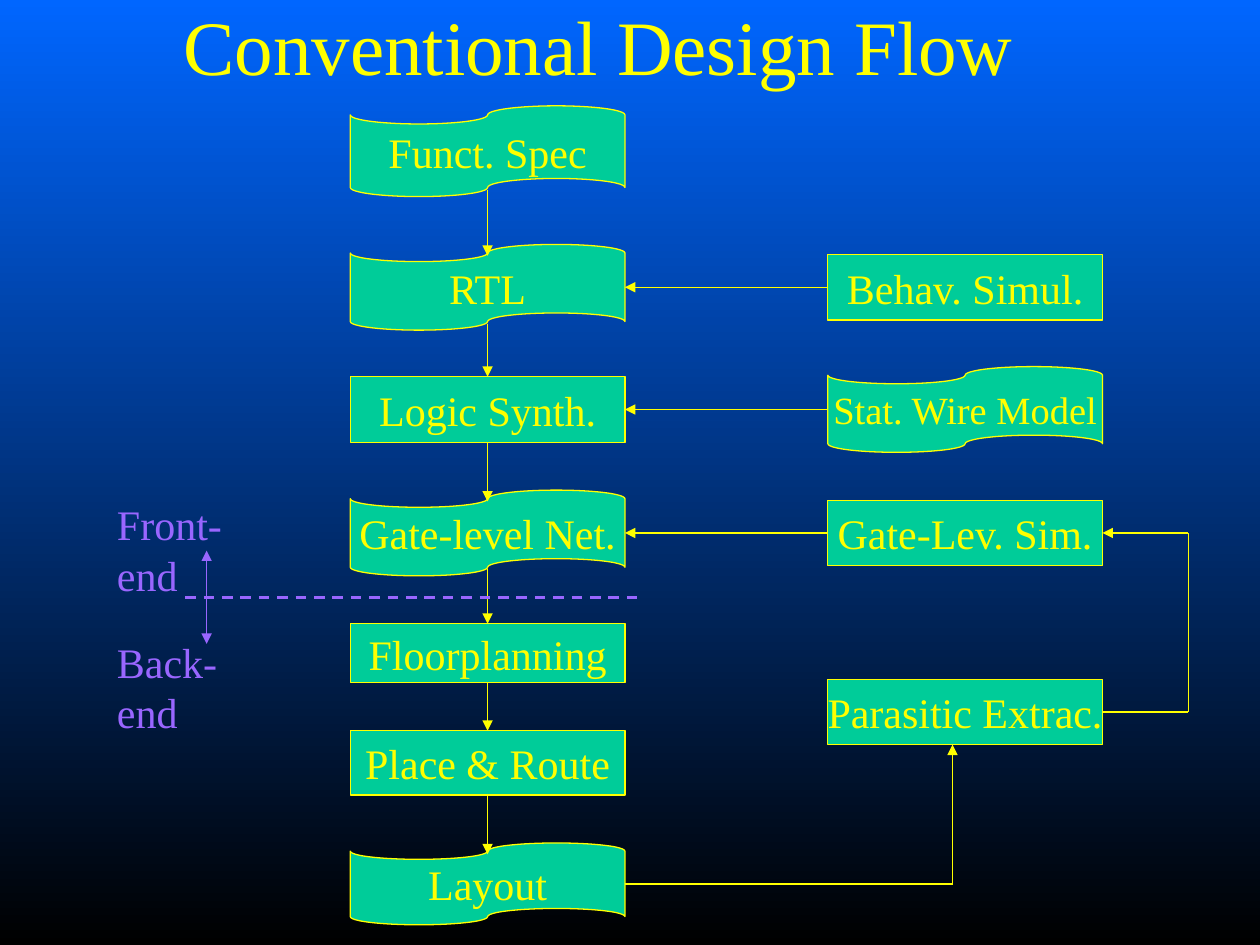
from dataclasses import dataclass
from itertools import pairwise

from lxml.etree import SubElement
from pptx import Presentation
from pptx.dml.color import RGBColor
from pptx.enum.dml import MSO_LINE
from pptx.enum.shapes import MSO_CONNECTOR, MSO_SHAPE
from pptx.enum.text import MSO_ANCHOR, MSO_AUTO_SIZE, PP_ALIGN
from pptx.oxml.ns import qn
from pptx.util import Inches, Pt

COLUMNS, ROWS = 100, 75  # square cells of a tenth of an inch
YELLOW, GREEN, VIOLET = "FFFF00", "00CC99", "9966FF"
FONT = "Times New Roman"
TOP, LEFT, BOTTOM, RIGHT = range(4)
BOX_WIDTH = 21.8
FLOW_LEFT, CHECK_LEFT = 27.8, 65.7
TAPE_INLET, TAPE_OUTLET = 0.9, 0.5  # how far arrows reach into a wavy edge
LAYOUT_RISER, FEEDBACK_RISER = 75.6, 94.3


@dataclass
class Step:
    label: str
    left: float
    top: float
    height: float
    is_tape: bool = False
    size: int = 24
    shape: object = None

    @property
    def bottom(self) -> float:
        return self.top + self.height

    @property
    def right(self) -> float:
        return self.left + BOX_WIDTH

    @property
    def center(self) -> float:
        return self.left + BOX_WIDTH / 2

    @property
    def middle(self) -> float:
        return self.top + self.height / 2


def cells(count: float) -> int:
    return Inches(round(count / 10, 3))


def rgb(color: str) -> RGBColor:
    return RGBColor.from_string(color)


def write(frame, text: str, size: int, color: str, align: PP_ALIGN) -> None:
    frame.text = text
    paragraph = frame.paragraphs[0]
    paragraph.alignment = align
    font = paragraph.runs[0].font
    font.name, font.size = FONT, Pt(size)
    font.color.rgb = rgb(color)


def draw_step(slide, step: Step) -> None:
    preset = MSO_SHAPE.FLOWCHART_PUNCHED_TAPE if step.is_tape else MSO_SHAPE.RECTANGLE
    step.shape = shape = slide.shapes.add_shape(
        preset, *map(cells, (step.left, step.top, BOX_WIDTH, step.height)))
    shape.shadow.inherit = False
    shape.fill.solid()
    shape.fill.fore_color.rgb = rgb(GREEN)
    shape.line.color.rgb = rgb(YELLOW)
    shape.line.width = Pt(0.75)
    shape.text_frame.word_wrap = False
    shape.text_frame.vertical_anchor = MSO_ANCHOR.MIDDLE
    write(shape.text_frame, step.label, step.size, YELLOW, PP_ALIGN.CENTER)


def draw_line(slide, start: tuple, end: tuple, color: str = YELLOW, width: float = 0.75,
              arrow: bool = False, dashed: bool = False,
              source: Step | None = None, source_side: int = BOTTOM,
              target: Step | None = None, target_side: int = TOP) -> None:
    """Draw a line between two grid points, joining it to rectangular steps."""
    line = slide.shapes.add_connector(
        MSO_CONNECTOR.STRAIGHT, *map(cells, (*start, *end)))
    if source and not source.is_tape:
        line.begin_connect(source.shape, source_side)
    if target and not target.is_tape:
        line.end_connect(target.shape, target_side)
    line.line.color.rgb = rgb(color)
    line.line.width = Pt(width)
    if dashed:
        line.line.dash_style = MSO_LINE.DASH
    properties = line._element.spPr
    if arrow:
        SubElement(properties.find(qn("a:ln")), qn("a:tailEnd"), type="triangle")
    SubElement(properties, qn("a:effectLst"))


def draw_flow_arrow(slide, upper: Step, lower: Step) -> None:
    start = upper.bottom - (TAPE_OUTLET if upper.is_tape else 0)
    end = lower.top + (TAPE_INLET if lower.is_tape else 0)
    draw_line(slide, (upper.center, start), (lower.center, end), arrow=True,
              source=upper, target=lower)


def draw_check_arrow(slide, check: Step, checked: Step) -> None:
    draw_line(slide, (check.left, check.middle), (checked.right, check.middle), arrow=True,
              source=check, source_side=LEFT, target=checked, target_side=RIGHT)


def draw_title(slide, text: str) -> None:
    frame = slide.shapes.add_textbox(*map(cells, (2.4, 0.2, 90.2, 6.7))).text_frame
    frame.word_wrap = True
    frame.vertical_anchor = MSO_ANCHOR.MIDDLE
    write(frame, text, 44, YELLOW, PP_ALIGN.CENTER)


def draw_phase(slide, text: str, top: float, width: float) -> None:
    frame = slide.shapes.add_textbox(*map(cells, (8.3, top, width, 5))).text_frame
    frame.word_wrap = False
    frame.auto_size = MSO_AUTO_SIZE.SHAPE_TO_FIT_TEXT
    write(frame, text, 24, VIOLET, PP_ALIGN.LEFT)


def paint_background(slide) -> None:
    fill = slide.background.fill
    fill.gradient()
    fill.gradient_angle = 270
    for stop, color in zip(fill.gradient_stops, ("0066FF", "000000")):
        stop.color.rgb = rgb(color)


def main() -> None:
    deck = Presentation()
    deck.slide_width, deck.slide_height = cells(COLUMNS), cells(ROWS)
    slide = deck.slides.add_slide(deck.slide_layouts[6])
    paint_background(slide)
    draw_title(slide, "Conventional Design Flow")

    flow = [
        Step("Funct. Spec", FLOW_LEFT, 8.4, 7.2, is_tape=True),
        Step("RTL", FLOW_LEFT, 19.4, 6.8, is_tape=True),
        Step("Logic Synth.", FLOW_LEFT, 29.9, 5.2),
        Step("Gate-level Net.", FLOW_LEFT, 38.9, 6.8, is_tape=True),
        Step("Floorplanning", FLOW_LEFT, 49.5, 4.7),
        Step("Place & Route", FLOW_LEFT, 58, 5.1),
        Step("Layout", FLOW_LEFT, 66.9, 6.5, is_tape=True),
    ]
    simulation = Step("Behav. Simul.", CHECK_LEFT, 20.2, 5.2)
    wire_model = Step("Stat. Wire Model", CHECK_LEFT, 29.1, 6.8, is_tape=True, size=22)
    gate_simulation = Step("Gate-Lev. Sim.", CHECK_LEFT, 39.7, 5.2)
    extraction = Step("Parasitic Extrac.", CHECK_LEFT, 53.9, 5.2)
    checks = [simulation, wire_model, gate_simulation]

    for step in (*flow, *checks, extraction):
        draw_step(slide, step)
    for upper, lower in pairwise(flow):
        draw_flow_arrow(slide, upper, lower)
    for check, checked in zip(checks, flow[1:4]):
        draw_check_arrow(slide, check, checked)

    layout = flow[-1]
    layout_corner = (LAYOUT_RISER, layout.middle)
    draw_line(slide, (layout.right, layout.middle), layout_corner)
    draw_line(slide, layout_corner, (LAYOUT_RISER, extraction.bottom), arrow=True)

    lower_corner = (FEEDBACK_RISER, extraction.middle)
    upper_corner = (FEEDBACK_RISER, gate_simulation.middle)
    draw_line(slide, (extraction.right, extraction.middle), lower_corner,
              source=extraction, source_side=RIGHT)
    draw_line(slide, lower_corner, upper_corner)
    draw_line(slide, upper_corner, (gate_simulation.right, gate_simulation.middle),
              arrow=True, target=gate_simulation, target_side=RIGHT)

    boundary, phase_axis, reach = 47.4, 16.4, 3.7
    draw_line(slide, (14.7, boundary), (50.6, boundary), VIOLET, 1.5, dashed=True)
    for direction in (-1, 1):
        draw_line(slide, (phase_axis, boundary), (phase_axis, boundary + direction * reach),
                  VIOLET, arrow=True)
    draw_phase(slide, "Front-end", 39.1, 15.1)
    draw_phase(slide, "Back-end", 50, 14.7)

    deck.save("out.pptx")


if __name__ == "__main__":
    main()
